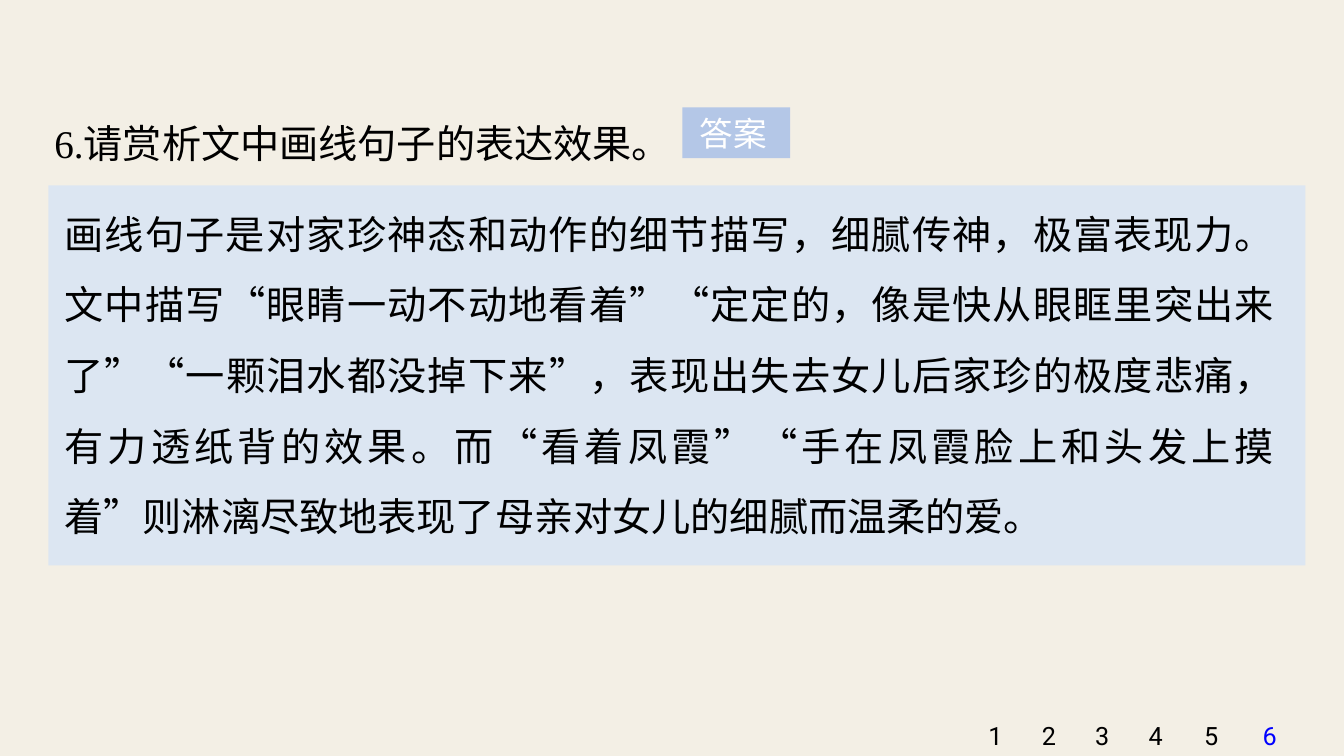
import itertools

import pptx
import pptx.util
from lxml import etree
from pptx.dml.color import RGBColor
from pptx.enum.shapes import MSO_SHAPE
from pptx.enum.text import MSO_ANCHOR, MSO_AUTO_SIZE, PP_ALIGN
from pptx.oxml.ns import qn

QUESTION = "6.请赏析文中画线句子的表达效果。"
LABEL = "答案"
ANSWER = (
    "画线句子是对家珍神态和动作的细节描写，细腻传神，极富表现力。"
    "文中描写“眼睛一动不动地看着”“定定的，像是快从眼眶里突出来了”"
    "“一颗泪水都没掉下来”，表现出失去女儿后家珍的极度悲痛，有力透纸背的效果。"
    "而“看着凤霞”“手在凤霞脸上和头发上摸着”则淋漓尽致地表现了母亲对女儿的细腻而温柔的爱。"
)
PAGE_LEFTS = {"1": 695.5, "2": 733.7, "3": 771.8, "4": 810, "5": 849.6, "6": 891.4}
CURRENT_PAGE = "6"

CREAM = RGBColor(0xF3, 0xEF, 0xE5)
LABEL_BLUE = RGBColor(0xB4, 0xC7, 0xE7)
PANEL_BLUE = RGBColor(0xDC, 0xE6, 0xF2)
LINK_BLUE = RGBColor(0x00, 0x00, 0xFF)
WHITE = RGBColor(0xFF, 0xFF, 0xFF)
BLACK = RGBColor(0x00, 0x00, 0x00)
SERIF = "Times New Roman"
CJK = "Noto Sans CJK SC"
Pt = pptx.util.Pt


def place(sp, left, top, width, height):
    sp.left, sp.top, sp.width, sp.height = map(Pt, (left, top, width, height))


def format_frame(sp, anchor, wrap=True, margin_x=9.36, margin_y=5.04):
    tf = sp.text_frame
    tf.auto_size = MSO_AUTO_SIZE.NONE
    tf.word_wrap = wrap
    tf.vertical_anchor = anchor
    tf.margin_left = tf.margin_right = Pt(margin_x)
    tf.margin_top = tf.margin_bottom = Pt(margin_y)
    return tf.paragraphs[0]


def format_paragraph(p, size, color, name, align, spacing=1.0):
    p.alignment = align
    p.line_spacing = spacing
    p.font.size = Pt(size)
    p.font.color.rgb = color
    p.font.name = name
    latin = p.font._element.find(qn("a:latin"))
    ea = etree.Element(qn("a:ea"), typeface=CJK)
    latin.addnext(ea)


def add_block(s, color, *box):
    sp = s.shapes.add_shape(MSO_SHAPE.RECTANGLE, *map(Pt, box))
    sp.shadow.inherit = False
    sp.fill.solid()
    sp.fill.fore_color.rgb = color
    sp.line.fill.background()
    return sp


def main():
    prs = pptx.Presentation()
    prs.slide_width, prs.slide_height = Pt(960), Pt(540)
    s = prs.slides.add_slide(prs.slide_layouts[5])
    s.background.fill.solid()
    s.background.fill.fore_color.rgb = CREAM

    title = s.shapes.title
    place(title, 29.5, 63.4, 892, 54)
    p = format_frame(title, MSO_ANCHOR.TOP)
    p.text = QUESTION
    format_paragraph(p, 28, BLACK, SERIF, PP_ALIGN.JUSTIFY, 1.5)

    label = add_block(s, LABEL_BLUE, 487.4, 76.7, 77, 36.2)
    p = format_frame(label, MSO_ANCHOR.MIDDLE, margin_x=12.5, margin_y=0)
    p.text = LABEL
    format_paragraph(p, 24, WHITE, "Arial", PP_ALIGN.LEFT)

    add_block(s, PANEL_BLUE, 34.6, 132.5, 897.8, 271.4)
    answer = s.shapes.add_textbox(*map(Pt, (36.8, 128.2, 882.7, 257.8)))
    p = format_frame(answer, MSO_ANCHOR.TOP)
    format_paragraph(p, 28, BLACK, SERIF, PP_ALIGN.JUSTIFY, 1.5)
    for quoted, chars in itertools.groupby(ANSWER, key=lambda c: c in "“”"):
        r = p.add_run()
        r.text = "".join(chars)
        if quoted:
            r.font.name = CJK

    for page, left in PAGE_LEFTS.items():
        tab = s.shapes.add_textbox(*map(Pt, (left, 502.6, 31, 45.4)))
        p = format_frame(tab, MSO_ANCHOR.MIDDLE, wrap=False)
        p.text = page
        color = LINK_BLUE if page == CURRENT_PAGE else BLACK
        format_paragraph(p, 18, color, "Roboto", PP_ALIGN.CENTER)

    prs.save("out.pptx")


if __name__ == "__main__":
    main()
